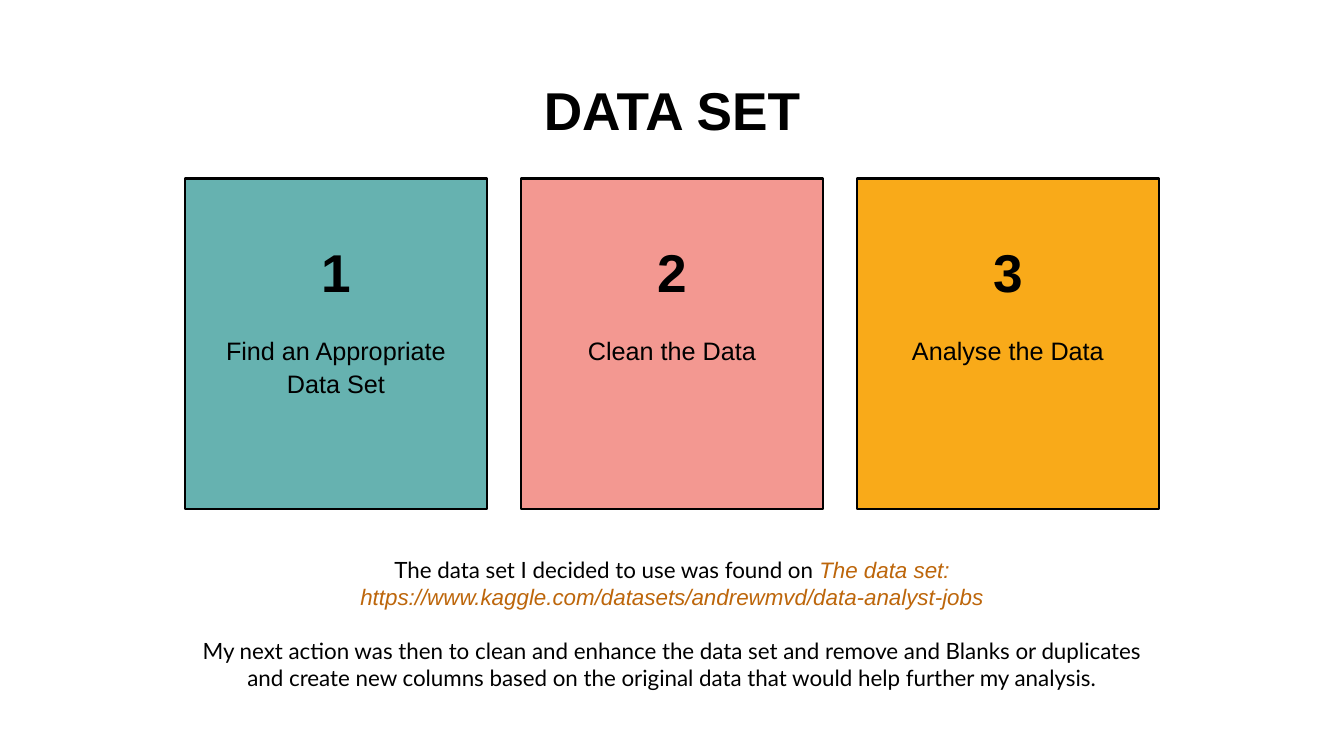
from dataclasses import dataclass

import pptx
import pptx.dml.color
import pptx.enum.shapes
import pptx.enum.text
import pptx.util

COLUMNS, ROWS = 40, 75
CARD_PITCH, CARD_WIDTH, CAPTION_WIDTH = 10, 9, 7.5
CENTER = pptx.enum.text.PP_ALIGN.CENTER
BLACK = "000000"


@dataclass
class Step:
    number: str
    caption: str
    fill: str


STEPS = [
    Step("1", "Find an Appropriate Data Set", "66B2B0"),
    Step("2", "Clean the Data", "F39891"),
    Step("3", "Analyse the Data", "F9AA19"),
]

deck = pptx.Presentation()
deck.slide_width = pptx.util.Inches(13.333)
deck.slide_height = pptx.util.Inches(7.5)
slide = deck.slides.add_slide(deck.slide_layouts[5])


def color(hex_value: str) -> pptx.dml.color.RGBColor:
    return pptx.dml.color.RGBColor.from_string(hex_value)


def grid(left: float, top: float, width: float, height: float) -> tuple[int, int, int, int]:
    column, row = deck.slide_width / COLUMNS, deck.slide_height / ROWS
    return round(left * column), round(top * row), round(width * column), round(height * row)


def style(font, size: float, family: str, hex_value: str = BLACK,
          bold: bool = False, italic: bool = False) -> None:
    font.size = pptx.util.Pt(size)
    font.name = family
    font.bold = bold
    font.italic = italic
    font.color.rgb = color(hex_value)


def write_line(frame, text: str, size: float, spacing: float, bold: bool = False) -> None:
    frame.word_wrap = True
    line = frame.paragraphs[0]
    line.text = text
    line.alignment = CENTER
    line.line_spacing = spacing
    style(line.font, size, "Arial", bold=bold)


def draw_title(text: str) -> None:
    title = slide.shapes.title
    title.left, title.top, title.width, title.height = grid(2.75, 4, 34.5, 14.5)
    title.text_frame.auto_size = pptx.enum.text.MSO_AUTO_SIZE.NONE
    title.text_frame.vertical_anchor = pptx.enum.text.MSO_ANCHOR.MIDDLE
    write_line(title.text_frame, text, 38, 0.9, bold=True)


def draw_step(step: Step, center: float) -> None:
    card = slide.shapes.add_shape(
        pptx.enum.shapes.MSO_SHAPE.RECTANGLE,
        *grid(center - CARD_WIDTH / 2, 17.7, CARD_WIDTH, 32.8))
    card.shadow.inherit = False
    card.fill.solid()
    card.fill.fore_color.rgb = color(step.fill)
    card.line.color.rgb = color(BLACK)
    card.line.width = pptx.util.Pt(1.75)
    card.text_frame.vertical_anchor = pptx.enum.text.MSO_ANCHOR.TOP
    card.text_frame.margin_top = pptx.util.Inches(0.68)
    write_line(card.text_frame, step.number, 38, 0.9, bold=True)

    caption = slide.shapes.add_textbox(
        *grid(center - CAPTION_WIDTH / 2, 32.6, CAPTION_WIDTH, 8))
    write_line(caption.text_frame, step.caption, 18, 1.07)


def draw_notes() -> None:
    notes = slide.shapes.add_textbox(*grid(5.5, 54.7, 29, 17.2)).text_frame
    notes.word_wrap = True
    origin = notes.paragraphs[0]
    origin.alignment = CENTER
    intro, link = origin.add_run(), origin.add_run()
    intro.text = "The data set I decided to use was found on "
    link.text = "The data set: https://www.kaggle.com/datasets/andrewmvd/data-analyst-jobs"
    style(intro.font, 16, "Lato")
    style(link.font, 16, "Arial", "BD660B", italic=True)

    cleaning = notes.add_paragraph()
    cleaning.text = (
        "My next action was then to clean and enhance the data set and remove and Blanks "
        "or duplicates and create new columns based on the original data that would help "
        "further my analysis.")
    cleaning.alignment = CENTER
    cleaning.space_before = pptx.util.Pt(19.2)
    style(cleaning.font, 16, "Lato")


def main() -> None:
    draw_title("DATA SET")
    for position, step in enumerate(STEPS, start=1):
        draw_step(step, position * CARD_PITCH)
    draw_notes()
    deck.save("out.pptx")


if __name__ == "__main__":
    main()
